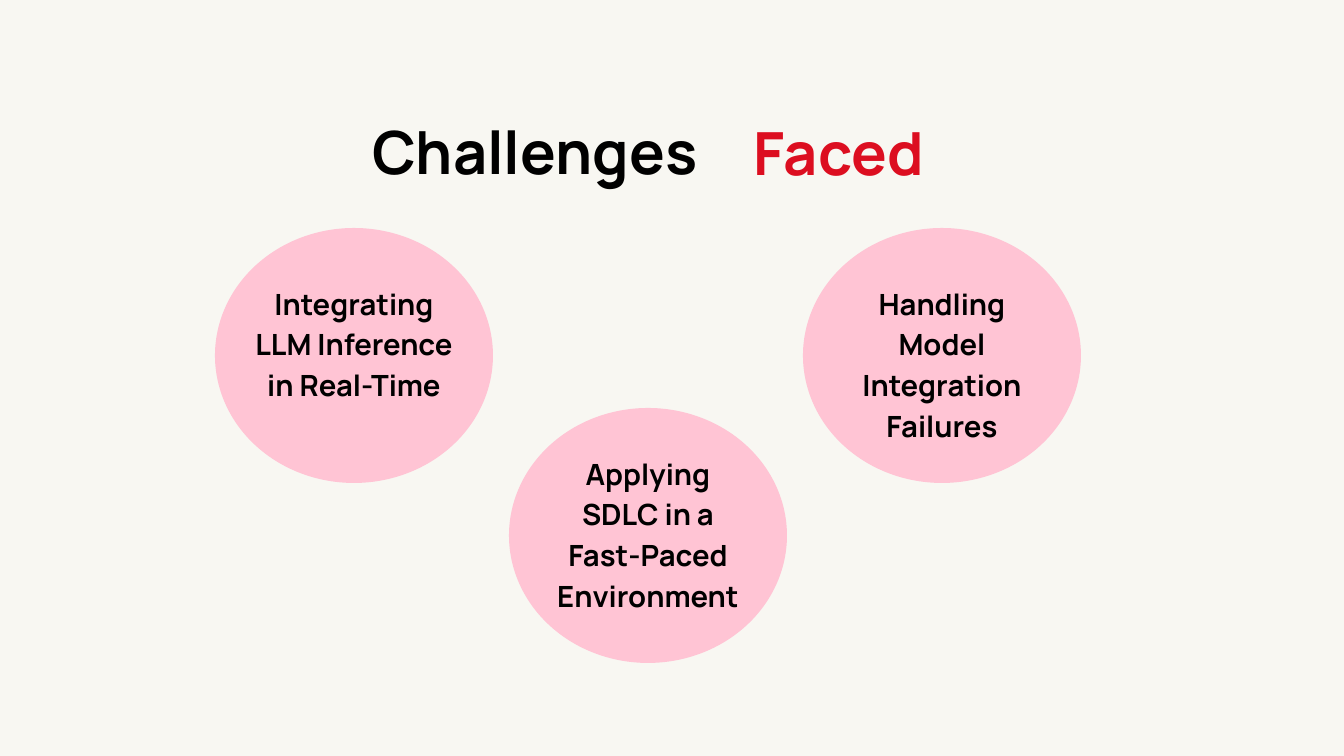
from pptx import Presentation
from pptx import util as u
from pptx.dml.color import RGBColor
from pptx.enum import shapes, text

WIDTH, HEIGHT = 1344, 756
SCALE = u.Inches(20) / WIDTH
FONT = "Manrope"
PAPER, PINK, BLACK, RED = "F8F7F2", "FFC4D4", "000000", "DC0E20"

CIRCLE_WIDTH, CIRCLE_HEIGHT = 278, 255
LABEL_WIDTH, LABEL_HEIGHT = 206, 163
FIRST_LEFT, STEP = 215, 294

# Wording, top of the circle, gap from there to the label
CHALLENGES = [
    ("Integrating LLM Inference in Real-Time", 228, 52),
    ("Applying SDLC in a Fast-Paced Environment", 408, 42),
    ("Handling Model Integration Failures", 228, 52),
]


def px(*lengths):
    return [u.Emu(round(length * SCALE)) for length in lengths]


def paint(fill, color):
    fill.solid()
    fill.fore_color.rgb = RGBColor.from_string(color)


def add_text(page, words, area, size, leading, align, color=BLACK):
    """Add a bold one-paragraph text box without margins."""
    box = page.shapes.add_textbox(*px(*area))
    frame = box.text_frame
    frame.margin_left = frame.margin_top = 0
    frame.margin_right = frame.margin_bottom = 0
    frame.word_wrap = True
    frame.auto_size = text.MSO_AUTO_SIZE.SHAPE_TO_FIT_TEXT
    para = frame.paragraphs[0]
    para.text = words
    para.alignment = align
    para.line_spacing = u.Pt(leading)
    para.font.name = FONT
    para.font.size = u.Pt(size)
    para.font.bold = True
    para.font.color.rgb = RGBColor.from_string(color)


def add_title(page):
    add_text(page, "Challenges", (372, 130, 362, 67), 63.7, 60.5,
             text.PP_ALIGN.LEFT)
    add_text(page, "Faced", (669, 131, 255, 66), 63.7, 60.5,
             text.PP_ALIGN.RIGHT, RED)


def add_challenge(page, words, left, top, gap):
    circle = page.shapes.add_shape(
        shapes.MSO_SHAPE.OVAL, *px(left, top, CIRCLE_WIDTH, CIRCLE_HEIGHT))
    circle.shadow.inherit = False
    paint(circle.fill, PINK)
    circle.line.fill.background()
    label_left = left + (CIRCLE_WIDTH - LABEL_WIDTH) // 2
    add_text(page, words, (label_left, top + gap, LABEL_WIDTH, LABEL_HEIGHT),
             31.3, 43.8, text.PP_ALIGN.CENTER)


def main():
    deck = Presentation()
    deck.slide_width, deck.slide_height = px(WIDTH, HEIGHT)
    page = deck.slides.add_slide(deck.slide_layouts[6])
    paint(page.background.fill, PAPER)
    add_title(page)
    for index, (words, top, gap) in enumerate(CHALLENGES):
        add_challenge(page, words, FIRST_LEFT + index * STEP, top, gap)
    deck.save("out.pptx")


if __name__ == "__main__":
    main()
